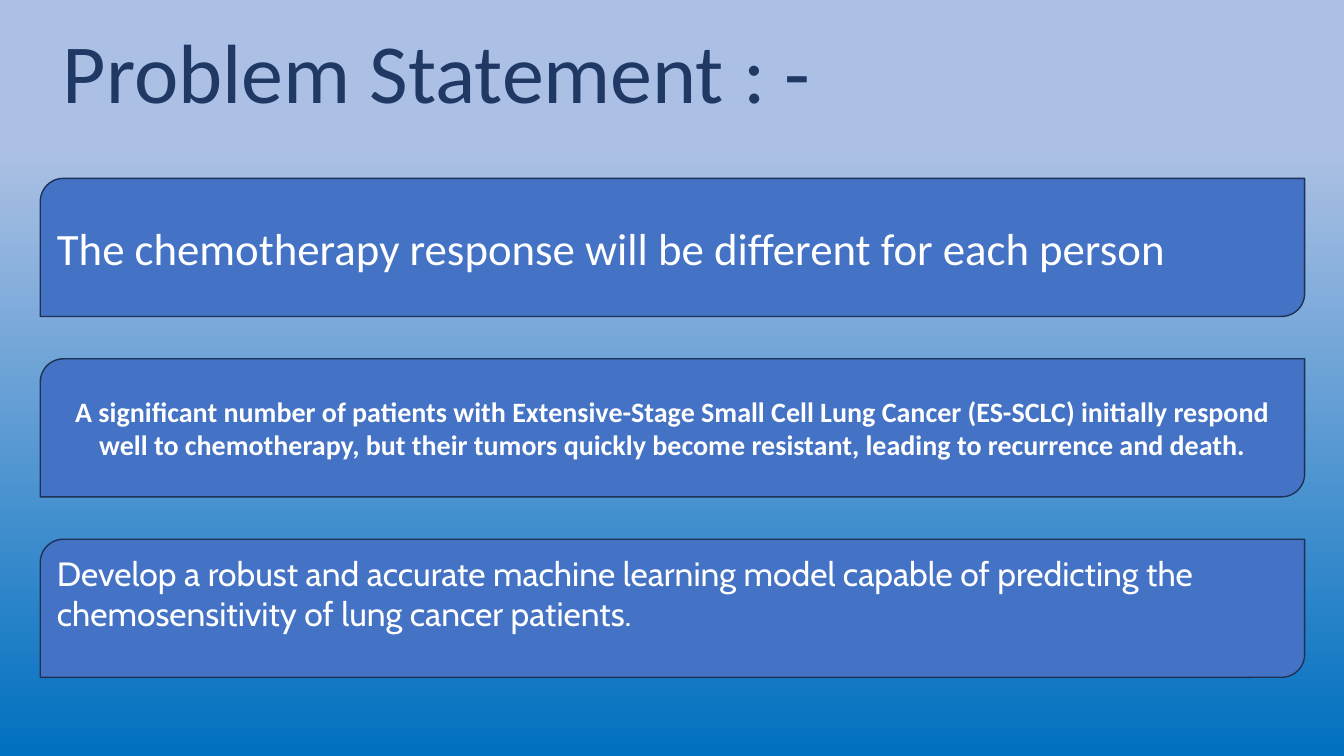
from pptx import Presentation
from pptx import util as u
from pptx.dml.color import RGBColor
from pptx.enum import shapes, text


def colour(value):
    return RGBColor.from_string(value)


class StatementSlide:
    width, height = 13.33, 7.5
    left, top, card_width, card_height, pitch = 0.4, 1.77, 12.54, 1.37, 1.79
    sky, deep = "ABC0E4", "0070C0"
    card_fill, card_line, card_text = "4472C4", "1E3256", "FFFFFF"
    title_text = "203864"

    def __init__(self, presentation):
        presentation.slide_width = u.Inches(self.width)
        presentation.slide_height = u.Inches(self.height)
        self.slide = presentation.slides.add_slide(presentation.slide_layouts[6])

    def background(self):
        fill = self.slide.background.fill
        fill.gradient()
        fill.gradient_angle = 270
        for stop, position, value in zip(fill.gradient_stops, (0.2, 1), (self.sky, self.deep)):
            stop.position = position
            stop.color.rgb = colour(value)

    def set_words(self, shape, words, size, font, value, align, anchor, bold=False):
        frame = shape.text_frame
        frame.text = words
        frame.word_wrap = True
        frame.vertical_anchor = anchor
        paragraph = frame.paragraphs[0]
        paragraph.alignment = align
        style = paragraph.runs[0].font
        style.size, style.name, style.bold = u.Pt(size), font, bold
        style.color.rgb = colour(value)
        return paragraph

    def title(self, words):
        box = self.slide.shapes.add_textbox(*map(u.Inches, (0.24, 0.14, 8.37, 1.12)))
        paragraph = self.set_words(box, words, 60, "Calibri", self.title_text,
                                   text.PP_ALIGN.CENTER, text.MSO_ANCHOR.BOTTOM)
        paragraph.line_spacing = 0.9

    def card(self, row, words, size, font="Calibri", align=text.PP_ALIGN.LEFT,
             bold=False, bottom=0.05):
        place = (self.left, self.top + row * self.pitch, self.card_width, self.card_height)
        shape = self.slide.shapes.add_shape(
            shapes.MSO_SHAPE.ROUND_2_DIAG_RECTANGLE, *map(u.Inches, place))
        shape.shadow.inherit = False
        shape.fill.solid()
        shape.fill.fore_color.rgb = colour(self.card_fill)
        shape.line.color.rgb = colour(self.card_line)
        shape.line.width = u.Pt(1)
        self.set_words(shape, words, size, font, self.card_text, align,
                       text.MSO_ANCHOR.MIDDLE, bold)
        shape.text_frame.margin_bottom = u.Inches(bottom)


def main():
    presentation = Presentation()
    page = StatementSlide(presentation)
    page.background()
    page.title("Problem Statement : - ")
    page.card(0, "The chemotherapy response will be different for each person", 32)
    page.card(1, "A significant number of patients with Extensive-Stage Small Cell Lung Cancer "
                 "(ES-SCLC) initially respond well to chemotherapy, but their tumors quickly "
                 "become resistant, leading to recurrence and death.",
              20, align=text.PP_ALIGN.CENTER, bold=True)
    page.card(2, "Develop a robust and accurate machine learning model capable of predicting "
                 "the chemosensitivity of lung cancer patients.",
              24, font="Cabin", bottom=0.35)
    presentation.save("out.pptx")


if __name__ == "__main__":
    main()
